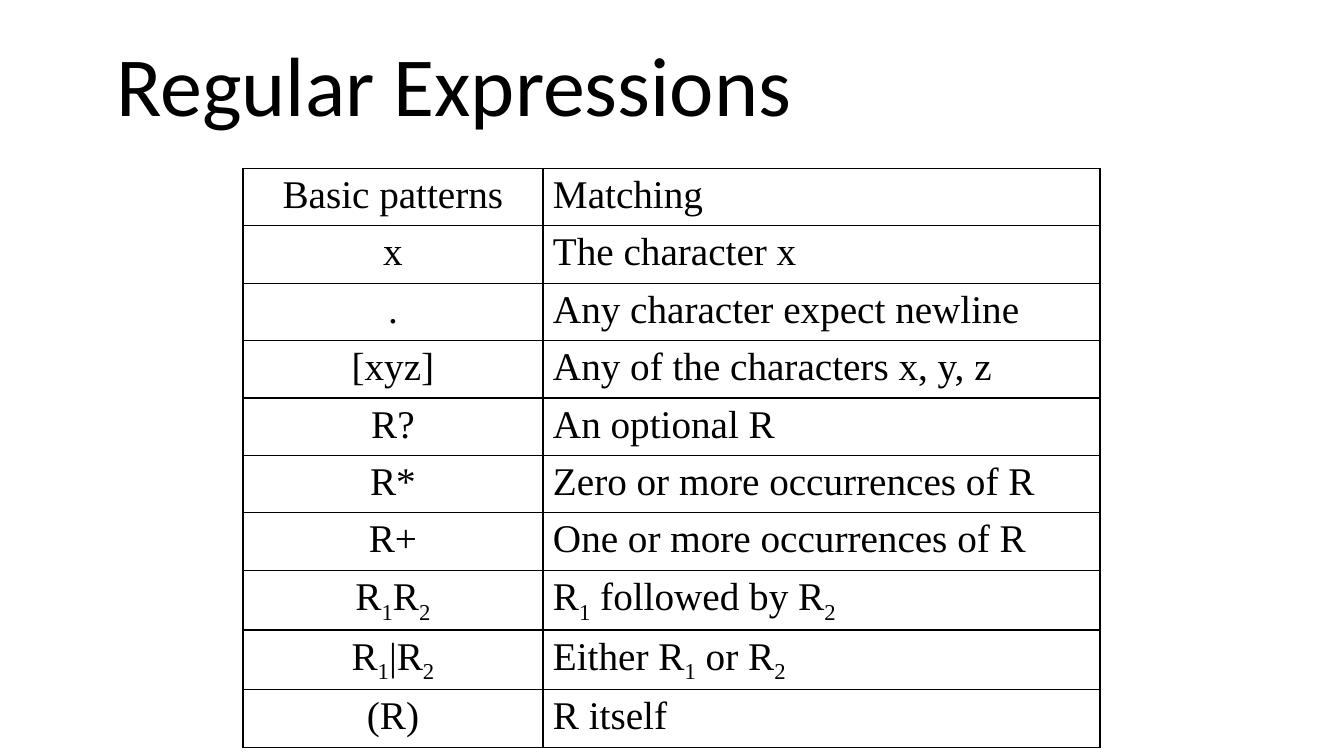
from dataclasses import dataclass

from lxml.etree import SubElement
from pptx import Presentation
from pptx.dml.color import RGBColor
from pptx.enum.text import MSO_ANCHOR as Anchor, MSO_AUTO_SIZE as AutoSize, PP_ALIGN as Align
from pptx.oxml.ns import qn
from pptx.util import Inches, Pt


@dataclass(frozen=True)
class Theme:
    ink: RGBColor = RGBColor(0, 0, 0)
    title_font: str = "Calibri"
    table_font: str = "Times New Roman"
    title_size: int = 60
    table_size: int = 28
    border: int = 1


THEME = Theme()
WIDTH, HEIGHT = Inches(13.33), Inches(7.5)
ROW_HEIGHT = Inches(0.57)
COLUMN_SHARES = (0.35, 0.65)
COLUMN_ALIGNS = (Align.CENTER, Align.LEFT)
# An underscore lowers the character after it.
PATTERNS = [
    ("Basic patterns", "Matching"),
    ("x", "The character x"),
    (".", "Any character expect newline"),
    ("[xyz]", "Any of the characters x, y, z"),
    ("R?", "An optional R"),
    ("R*", "Zero or more occurrences of R"),
    ("R+", "One or more occurrences of R"),
    ("R_1R_2", "R_1 followed by R_2"),
    ("R_1|R_2", "Either R_1 or R_2"),
    ("(R)", "R itself"),
]


def add_run(p, text, font, size, subscript=False):
    r = p.add_run()
    r.text = text
    for name, value in {"name": font, "size": Pt(size)}.items():
        setattr(r.font, name, value)
    r.font.color.rgb = THEME.ink
    if subscript:
        r.font._element.set("baseline", "-25000")


def add_marked_text(p, text):
    """Write text, lowering each character that follows an underscore."""
    first, *rest = text.split("_")
    pieces = [(first, False)]
    for part in rest:
        pieces += [(part[0], True), (part[1:], False)]
    for piece, subscript in pieces:
        if piece:
            add_run(p, piece, THEME.table_font, THEME.table_size, subscript)


def set_borders(cell):
    tc_pr = cell._tc.get_or_add_tcPr()
    for side in ("lnL", "lnR", "lnT", "lnB"):
        ln = SubElement(tc_pr, qn(f"a:{side}"), w=str(Pt(THEME.border)))
        fill = SubElement(ln, qn("a:solidFill"))
        SubElement(fill, qn("a:srgbClr"), val=str(THEME.ink))


def fill_cell(cell, text, align):
    set_borders(cell)
    cell.fill.background()
    p = cell.text_frame.paragraphs[0]
    p.alignment = align
    before = SubElement(p._p.get_or_add_pPr(), qn("a:spcBef"))
    SubElement(before, qn("a:spcPct"), val="20000")
    add_marked_text(p, text)


def set_title(s, text):
    title = s.shapes.title
    box = {"left": 0.079 * WIDTH, "top": 0.064 * HEIGHT,
           "width": 0.842 * WIDTH, "height": 0.109 * HEIGHT}
    for name, value in box.items():
        setattr(title, name, int(value))
    tf = title.text_frame
    for name, value in {"auto_size": AutoSize.NONE, "word_wrap": True,
                        "vertical_anchor": Anchor.MIDDLE}.items():
        setattr(tf, name, value)
    p = tf.paragraphs[0]
    p.alignment, p.line_spacing = Align.LEFT, 0.9
    add_run(p, text, THEME.title_font, THEME.title_size)


def add_pattern_table(s, rows):
    width = Inches(8.5)
    table = s.shapes.add_table(len(rows), len(COLUMN_SHARES), Inches(2.41), Inches(1.67),
                               width, ROW_HEIGHT * len(rows)).table
    table.first_row = table.horz_banding = False
    for column, share in zip(table.columns, COLUMN_SHARES):
        column.width = int(width * share)
    for row, texts in zip(table.rows, rows):
        row.height = ROW_HEIGHT
        for cell, text, align in zip(row.cells, texts, COLUMN_ALIGNS):
            fill_cell(cell, text, align)


def main():
    prs = Presentation()
    prs.slide_width, prs.slide_height = WIDTH, HEIGHT
    s = prs.slides.add_slide(prs.slide_layouts.get_by_name("Title Only"))
    set_title(s, "Regular Expressions")
    add_pattern_table(s, PATTERNS)
    prs.save("out.pptx")


if __name__ == "__main__":
    main()
